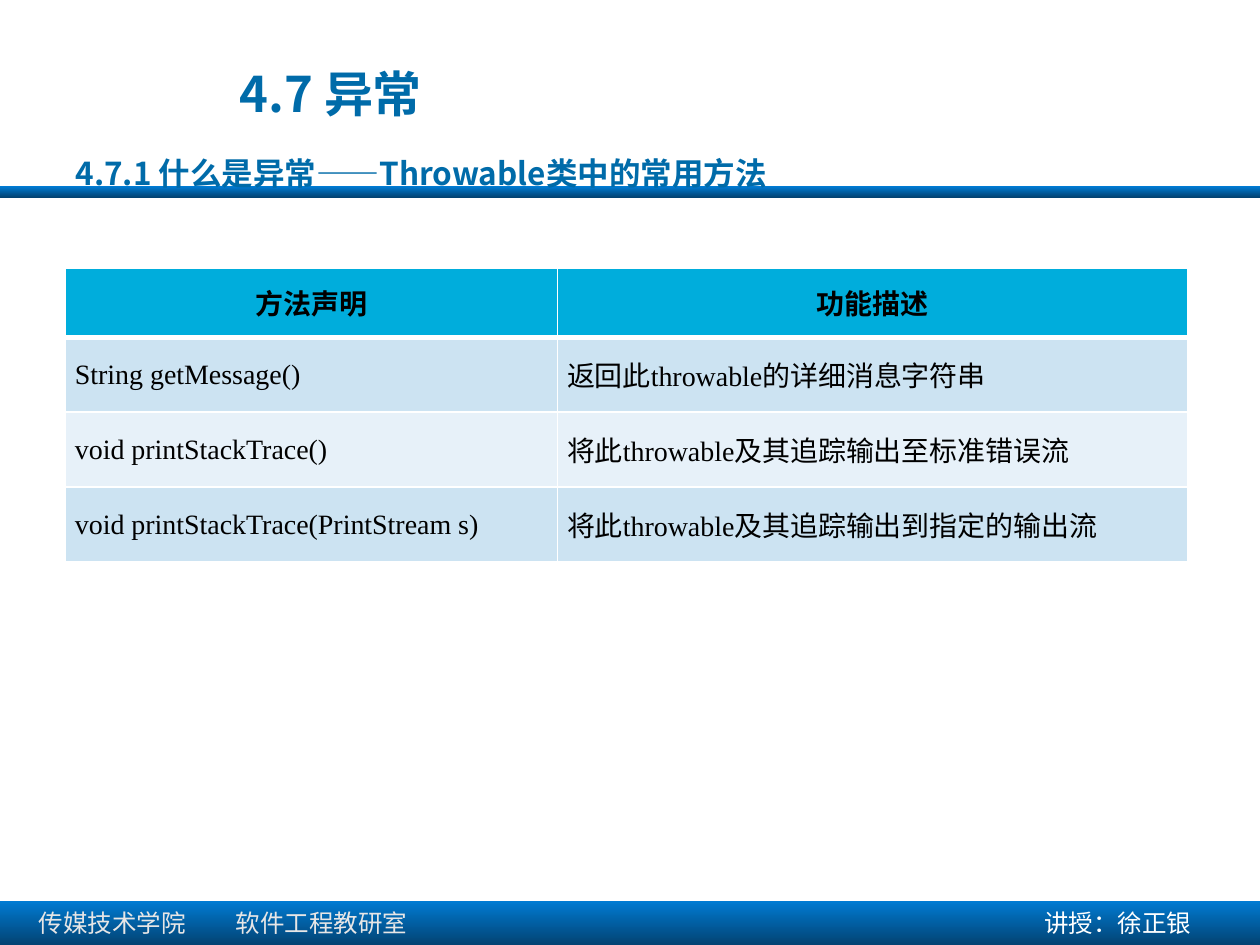
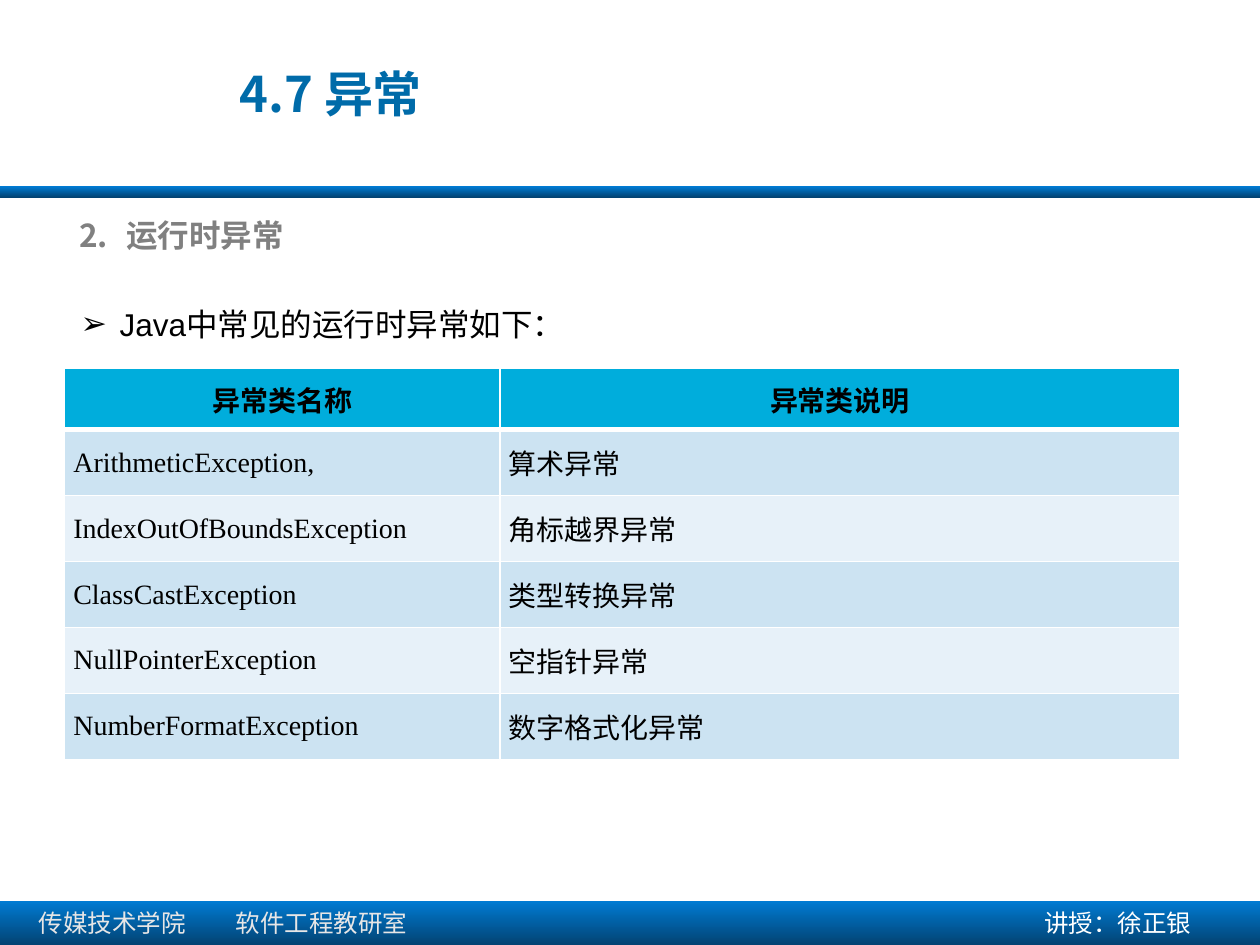
"""Build two slides on Java exceptions, each with a table of terms."""
from pptx import Presentation
from pptx.dml.color import RGBColor
from pptx.enum.shapes import MSO_SHAPE
from pptx.enum.text import MSO_ANCHOR, MSO_AUTO_SIZE, PP_ALIGN
from pptx.oxml import parse_xml
from pptx.oxml.ns import nsdecls, qn
from pptx.util import Cm, Pt

HUE = {
    "top": "007BD3", "deep": "034373", "title": "006BA9", "gray": "808080",
    "pale": "E7E6E6", "white": "FFFFFF", "black": "000000",
    "head": "00ADDC", "odd": "CCE3F2", "even": "E7F1F9",
}
SANS, SERIF, HAN = "Arial", "Times New Roman", "Noto Sans CJK SC"


def write(frame, text, size, hue, face, bold=False, align=PP_ALIGN.LEFT):
    frame.text = text
    frame.word_wrap = True
    para = frame.paragraphs[0]
    para.alignment = align
    para.space_before = Pt(0)
    for run in para.runs:
        run.font.size = Pt(size)
        run.font.bold = bold
        run.font.name = face
        run.font.color.rgb = RGBColor.from_string(HUE[hue])
        props = run.font._element
        props.set("lang", "zh-CN")
        props.append(parse_xml(f'<a:ea {nsdecls("a")} typeface="{HAN}"/>'))
    return para


def mark(para, hang, *tags):
    props = para._p.get_or_add_pPr()
    props.set("marL", str(Cm(hang)))
    props.set("indent", str(-Cm(hang)))
    for tag in tags:
        props.append(parse_xml(tag.replace("/>", f' {nsdecls("a")}/>', 1)))


deck = Presentation()
deck.slide_width, deck.slide_height = Cm(25.4), Cm(19.05)
plan = deck.slide_layouts[1]
pages = [deck.slides.add_slide(plan) for _ in range(2)]

base = []
for top, high in [(3.76, 0.22), (18.16, 0.89)]:
    band = pages[0].shapes.add_shape(
        MSO_SHAPE.RECTANGLE, 0, Cm(top), deck.slide_width, Cm(high))
    band.shadow.inherit = False
    band.line.fill.background()
    band.fill.gradient()
    band.fill.gradient_angle = 270
    for stop, hue, spot in zip(band.fill.gradient_stops, ("top", "deep"), (0, 1)):
        stop.color.rgb = RGBColor.from_string(HUE[hue])
        stop.position = spot
    base.append(band)

for left, wide, text, hue in [
    (0.53, 9.6, "传媒技术学院\t软件工程教研室", "pale"),
    (20.8, 4.52, "讲授：徐正银", "white"),
]:
    note = pages[0].shapes.add_textbox(Cm(left), Cm(18.19), Cm(wide), Cm(0.86))
    para = write(note.text_frame, text, 14, hue, SANS)
    if "\t" in text:
        para._p.get_or_add_pPr().append(parse_xml(
            f'<a:tabLst {nsdecls("a")}><a:tab pos="{Cm(3.97)}" algn="l"/></a:tabLst>'))
    base.append(note)

for count, part in enumerate(base, 20):
    part.element.find(".//" + qn("p:cNvPr")).set("id", str(count))
    plan.shapes.element.append(part.element)

for page in pages:
    title = page.shapes.title
    title.left, title.top, title.width, title.height = Cm(4.57), Cm(1.09), Cm(13.74), Cm(1.55)
    write(title.text_frame, "4.7 异常", 28, "title", HAN, True)
    title.text_frame.vertical_anchor = MSO_ANCHOR.MIDDLE
    title.text_frame.auto_size = MSO_AUTO_SIZE.NONE

body = pages[0].placeholders[1]
body.left, body.top, body.width, body.height = Cm(1.27), Cm(2.97), Cm(22.86), Cm(1.8)
para = write(body.text_frame, "4.7.1 什么是异常——Throwable类中的常用方法", 18, "title", HAN, True)
body.text_frame.auto_size = MSO_AUTO_SIZE.NONE
mark(para, 0, "<a:buNone/>")

topic = pages[1].shapes.add_textbox(Cm(1.35), Cm(4.24), Cm(22.6), Cm(1.02))
para = write(topic.text_frame, "运行时异常", 18, "gray", HAN, True)
mark(para, 0.95, '<a:buFont typeface="+mj-lt"/>', '<a:buAutoNum type="arabicPeriod" startAt="2"/>')

body = pages[1].placeholders[1]
body.left, body.top, body.width, body.height = Cm(1.37), Cm(5.26), Cm(22.66), Cm(1.55)
para = write(body.text_frame, "Java中常见的运行时异常如下：", 18, "black", SANS)
body.text_frame.auto_size = MSO_AUTO_SIZE.NONE
para.line_spacing = 2.0
mark(para, 0.79, '<a:buFont typeface="Arial"/>', '<a:buChar char="➢"/>')

grids = [
    (1.32, 5.4, (9.92, 12.7), 1.4, 1.51, 0.19, [
        ("方法声明", "功能描述"),
        ("String getMessage()", "返回此throwable的详细消息字符串"),
        ("void printStackTrace()", "将此throwable及其追踪输出至标准错误流"),
        ("void printStackTrace(PrintStream s)", "将此throwable及其追踪输出到指定的输出流"),
    ]),
    (1.3, 7.42, (8.78, 13.7), 1.24, 1.33, 0.18, [
        ("异常类名称", "异常类说明"),
        ("ArithmeticException,", "算术异常"),
        ("IndexOutOfBoundsException", "角标越界异常"),
        ("ClassCastException", "类型转换异常"),
        ("NullPointerException", "空指针异常"),
        ("NumberFormatException", "数字格式化异常"),
    ]),
]

for page, (left, top, wides, first, high, pad, rows) in zip(pages, grids):
    tall = first + high * (len(rows) - 1)
    grid = page.shapes.add_table(
        len(rows), 2, Cm(left), Cm(top), Cm(sum(wides)), Cm(tall)).table
    for col, wide in zip(grid.columns, wides):
        col.width = Cm(wide)
    for r, texts in enumerate(rows):
        grid.rows[r].height = Cm(high if r else first)
        for c, text in enumerate(texts):
            cell = grid.cell(r, c)
            align = PP_ALIGN.LEFT
            if r == 0:
                align = PP_ALIGN.CENTER
            elif r == 1 or c == 1:
                align = PP_ALIGN.JUSTIFY
            write(cell.text_frame, text, 16, "black", SERIF, r == 0, align)
            cell.vertical_anchor = MSO_ANCHOR.MIDDLE
            cell.margin_left = cell.margin_right = Cm(pad)
            cell.margin_top = cell.margin_bottom = 0
            for side in "LRTB":
                thick = 3 if (r, side) in [(0, "B"), (1, "T")] else 1
                cell._tc.get_or_add_tcPr().append(parse_xml(
                    f'<a:ln{side} {nsdecls("a")} w="{Pt(thick)}"><a:solidFill>'
                    f'<a:srgbClr val="{HUE["white"]}"/></a:solidFill></a:ln{side}>'))
            cell.fill.solid()
            hue = "head" if r == 0 else ("even", "odd")[r % 2]
            cell.fill.fore_color.rgb = RGBColor.from_string(HUE[hue])

deck.save("out.pptx")
